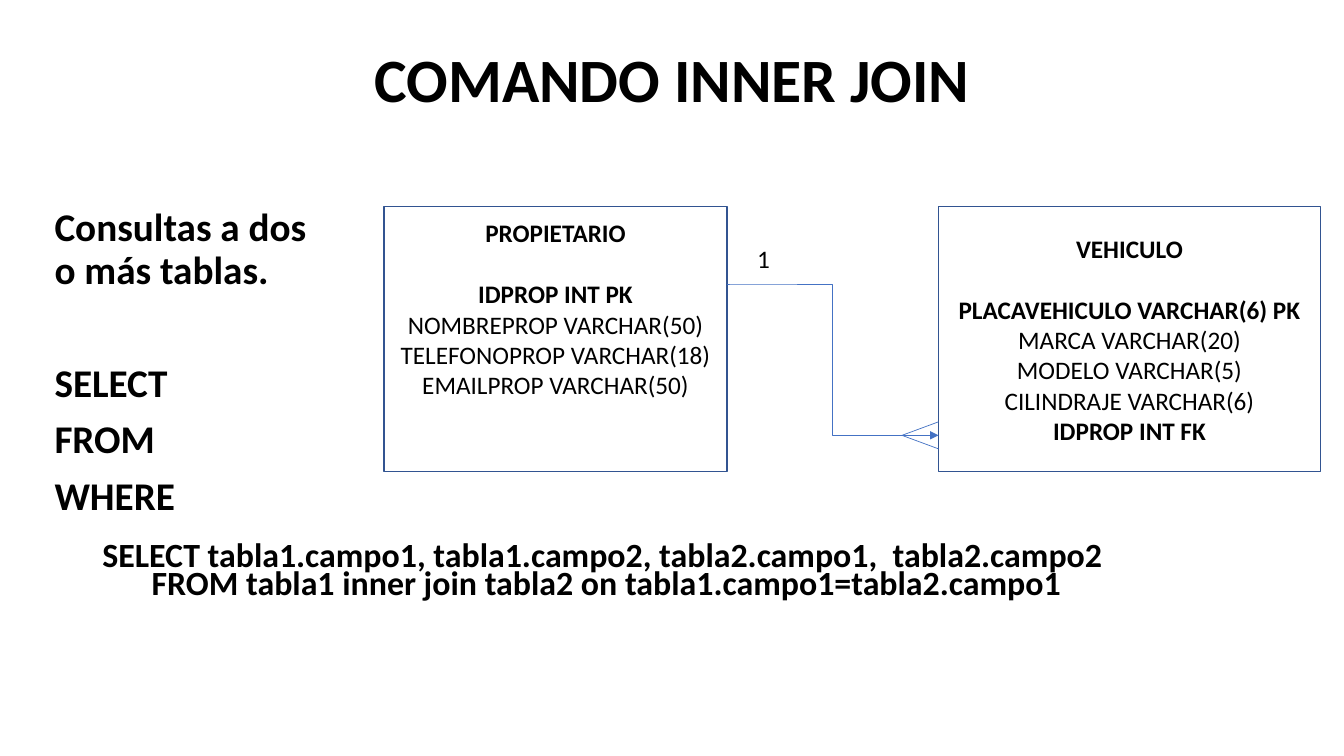
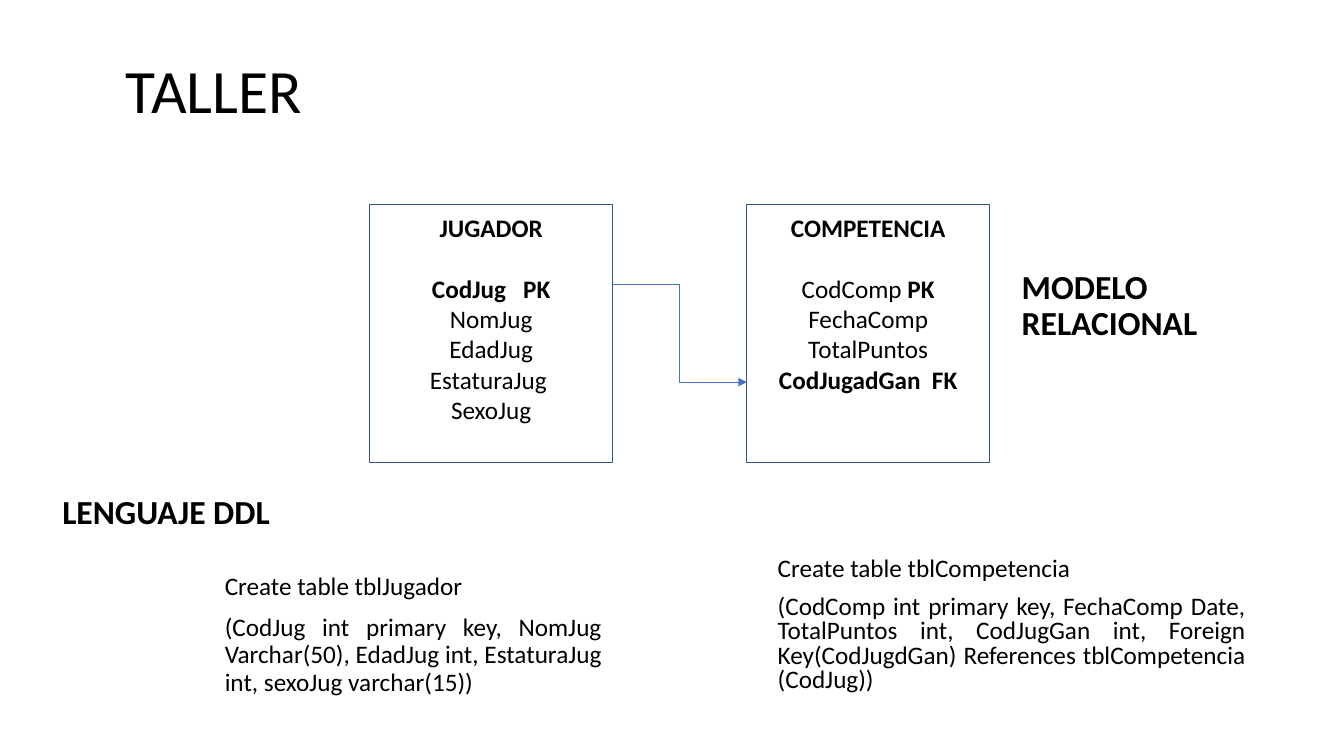
"""Build two slides on SQL joins: the INNER JOIN command and a workshop."""
from lxml.etree import SubElement
from pptx import Presentation
from pptx.dml.color import RGBColor as RGB
from pptx.enum.shapes import MSO_CONNECTOR as CONN, MSO_SHAPE as SHAPE
from pptx.enum.text import MSO_ANCHOR as ANCHOR, MSO_AUTO_SIZE as AUTO, PP_ALIGN as ALIGN
from pptx.oxml.ns import qn
from pptx.util import Cm, Pt

COLORS = {"text": "000000", "fill": "FFFFFF", "border": "325491", "link": "4472C4"}
FONT = "Calibri"
LINE_CM = 0.77
LINE_PT = 22


def color(name):
    return RGB.from_string(COLORS[name])


class Deck:
    """Hold the shared style and the slide being built."""

    def __init__(self):
        self.prs = Presentation()
        self.prs.slide_width, self.prs.slide_height = Cm(33.87), Cm(19.05)
        self.s = None

    def slide(self):
        self.s = self.prs.slides.add_slide(self.prs.slide_layouts[1])

    def set_lines(self, tf, lines, size, align, spacing=1.0, before=0):
        """Set the lines, with the part after an asterisk in bold."""
        tf.word_wrap = True
        tf.auto_size = AUTO.NONE
        for i, line in enumerate(lines):
            p = tf.add_paragraph() if i else tf.paragraphs[0]
            plain, _, strong = line.partition("*")
            p.text = plain
            if strong:
                p.add_run().text = strong
            p.alignment = align
            p.line_spacing = spacing
            p.space_before = Pt(before)
            for r in p.runs:
                r.font.name, r.font.size = FONT, Pt(size)
                r.font.color.rgb = color("text")
                r.font.bold = False
            if strong:
                p.runs[-1].font.bold = True
        return tf.paragraphs

    def place(self, sp, box):
        sp.left, sp.top, sp.width, sp.height = map(Cm, box)
        return sp.text_frame

    def title(self, box, text):
        tf = self.place(self.s.shapes.title, box)
        tf.vertical_anchor = ANCHOR.MIDDLE
        self.set_lines(tf, [text], 44, ALIGN.CENTER, 0.9)

    def body(self, box, lines, size, align):
        tf = self.place(self.s.placeholders[1], box)
        ps = self.set_lines(tf, lines, size, align, 0.9, 10)
        for p in ps:
            pPr = p._p.get_or_add_pPr()
            pPr.set("marL", "0")
            pPr.set("indent", "0")
            SubElement(pPr, qn("a:buNone"))
        return ps

    def text(self, box, lines, size, align=ALIGN.LEFT, spacing=0.9, before=0, anchor=ANCHOR.MIDDLE):
        tf = self.s.shapes.add_textbox(*map(Cm, box)).text_frame
        tf.vertical_anchor = anchor
        self.set_lines(tf, lines, size, align, spacing, before)

    def rect(self, box, lines, border=True):
        sp = self.s.shapes.add_shape(SHAPE.RECTANGLE, *map(Cm, box))
        sp.shadow.inherit = False
        sp.fill.solid()
        sp.fill.fore_color.rgb = color("fill")
        if border:
            sp.line.color.rgb = color("border")
            sp.line.width = Pt(1)
        else:
            sp.line.fill.background()
        tf = sp.text_frame
        tf.vertical_anchor = ANCHOR.MIDDLE
        self.set_lines(tf, lines, 18, ALIGN.CENTER)
        return tf

    def entity(self, box, name, fields, spare=0):
        """Draw a table box, leaving room for spare lines under the fields."""
        tf = self.rect(box, ["*" + name] + fields)
        tf.paragraphs[0].space_after = Pt(LINE_PT)
        tf.margin_bottom = Cm(0.13 + spare * LINE_CM)

    def link(self, start, end, kind=CONN.STRAIGHT, arrow=False):
        cn = self.s.shapes.add_connector(kind, *map(Cm, start + end))
        cn.line.color.rgb = color("link")
        cn.line.width = Pt(0.5)
        spPr = cn._element.spPr
        if arrow:
            SubElement(spPr.find(qn("a:ln")), qn("a:tailEnd"), type="triangle")
        SubElement(spPr, qn("a:effectLst"))


def join_slide(d):
    d.slide()
    d.title((2.34, 1.02, 29.21, 2.11), "*COMANDO INNER JOIN")
    ps = d.body((1.12, 5.11, 7.57, 12.09),
                ["*Consultas a dos o más tablas.", "*SELECT", "*FROM", "*WHERE"], 28, ALIGN.LEFT)
    ps[1].space_before = Pt(50.8)
    d.entity((23.65, 5.21, 9.63, 6.68), "VEHICULO",
             ["*PLACAVEHICULO VARCHAR(6) PK", "MARCA VARCHAR(20)", "MODELO VARCHAR(5)",
              "CILINDRAJE VARCHAR(6)", "*IDPROP INT FK"])
    d.entity((9.68, 5.21, 8.64, 6.68), "PROPIETARIO",
             ["*IDPROP INT PK", "NOMBREPROP VARCHAR(50)", "TELEFONOPROP VARCHAR(18)",
              "EMAILPROP VARCHAR(50)"], spare=2)
    x, y = 23.65, 10.97
    d.link((18.32, 7.16), (x, y), CONN.ELBOW, arrow=True)
    for dy in (-0.34, 0.34):
        d.link((22.73, y), (x, y + dy))
    d.rect((18.39, 5.87, 1.7, 1.3), ["1"], border=False)
    d.text((0.69, 13.39, 29.21, 2.11),
           ["*SELECT tabla1.campo1, tabla1.campo2, tabla2.campo1,  tabla2.campo2 ",
            "*FROM tabla1 inner join tabla2 on tabla1.campo1=tabla2.campo1"],
           24.2, ALIGN.CENTER, 0.7)


def workshop_slide(d):
    d.slide()
    d.title((0.71, 1.12, 9.37, 2.46), "TALLER")
    left, right, top, w, h = 9.32, 18.82, 5.16, 6.12, 6.5
    d.entity((left, top, w, h), "JUGADOR",
             ["*CodJug   PK", "NomJug", "EdadJug", "EstaturaJug ", "SexoJug"], spare=1)
    d.entity((right, top, w, h), "COMPETENCIA",
             ["CodComp *PK", "FechaComp", "TotalPuntos", "*CodJugadGan  FK"], spare=2)
    d.link((left + w, 7.16), (right, 9.63), CONN.ELBOW, arrow=True)
    d.body((5.41, 14.33, 10.01, 3.63),
           ["Create table tblJugador",
            "(CodJug int primary key, NomJug Varchar(50), EdadJug int, EstaturaJug int, "
            "sexoJug varchar(15))"], 18, ALIGN.JUSTIFY)
    d.text((19.35, 13.94, 12.29, 3.99),
           ["Create table tblCompetencia",
            "(CodComp int primary key, FechaComp Date, TotalPuntos int, CodJugGan int, "
            "Foreign Key(CodJugdGan) References tblCompetencia (CodJug))"],
           18, ALIGN.JUSTIFY, 0.8, 10, ANCHOR.TOP)
    d.text((1.32, 11.94, 5.92, 2.01), ["*LENGUAJE DDL"], 24)
    d.text((25.5, 6.73, 8, 2.01), ["*MODELO RELACIONAL"], 24)


def main():
    d = Deck()
    join_slide(d)
    workshop_slide(d)
    d.prs.save("out.pptx")


if __name__ == "__main__":
    main()
